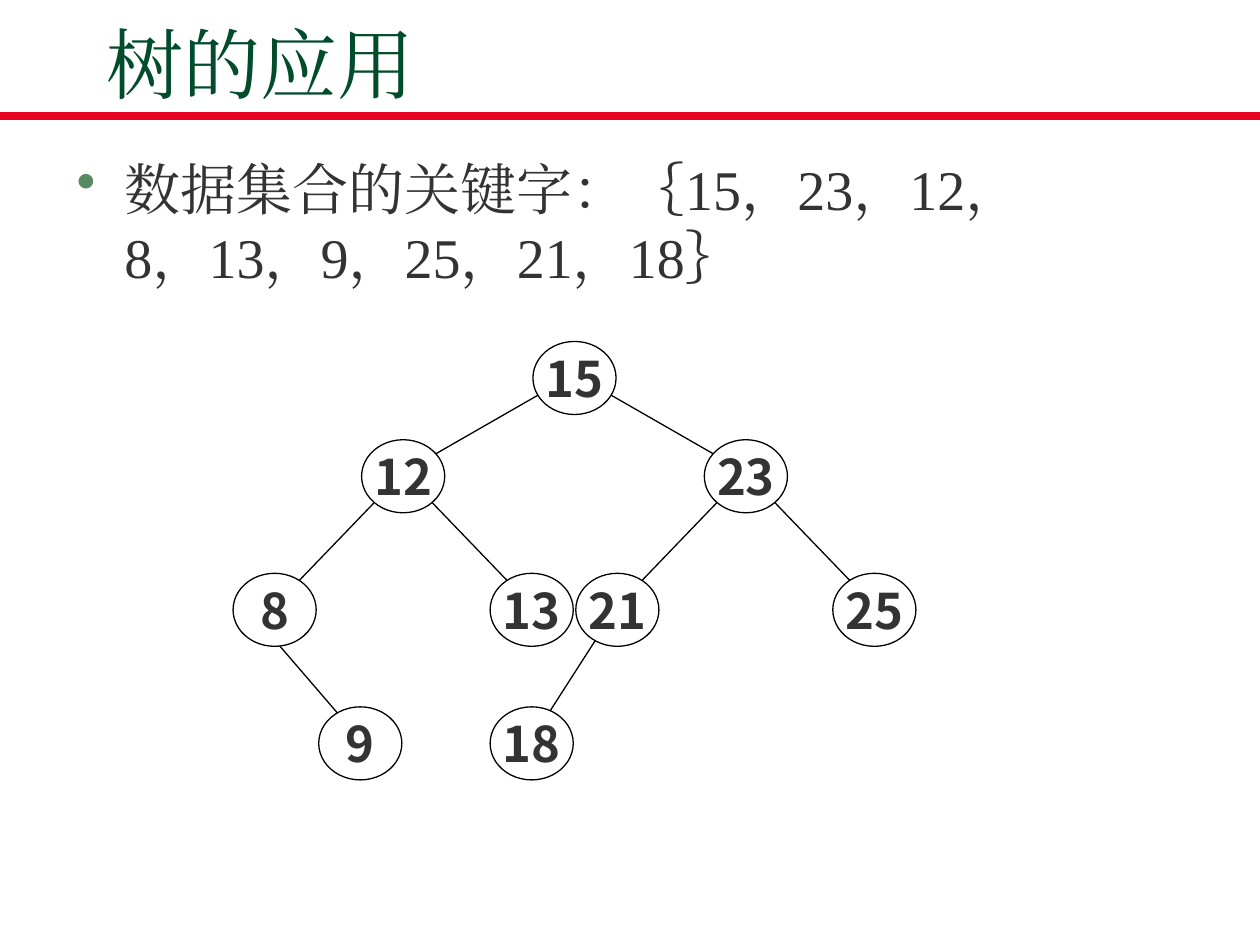
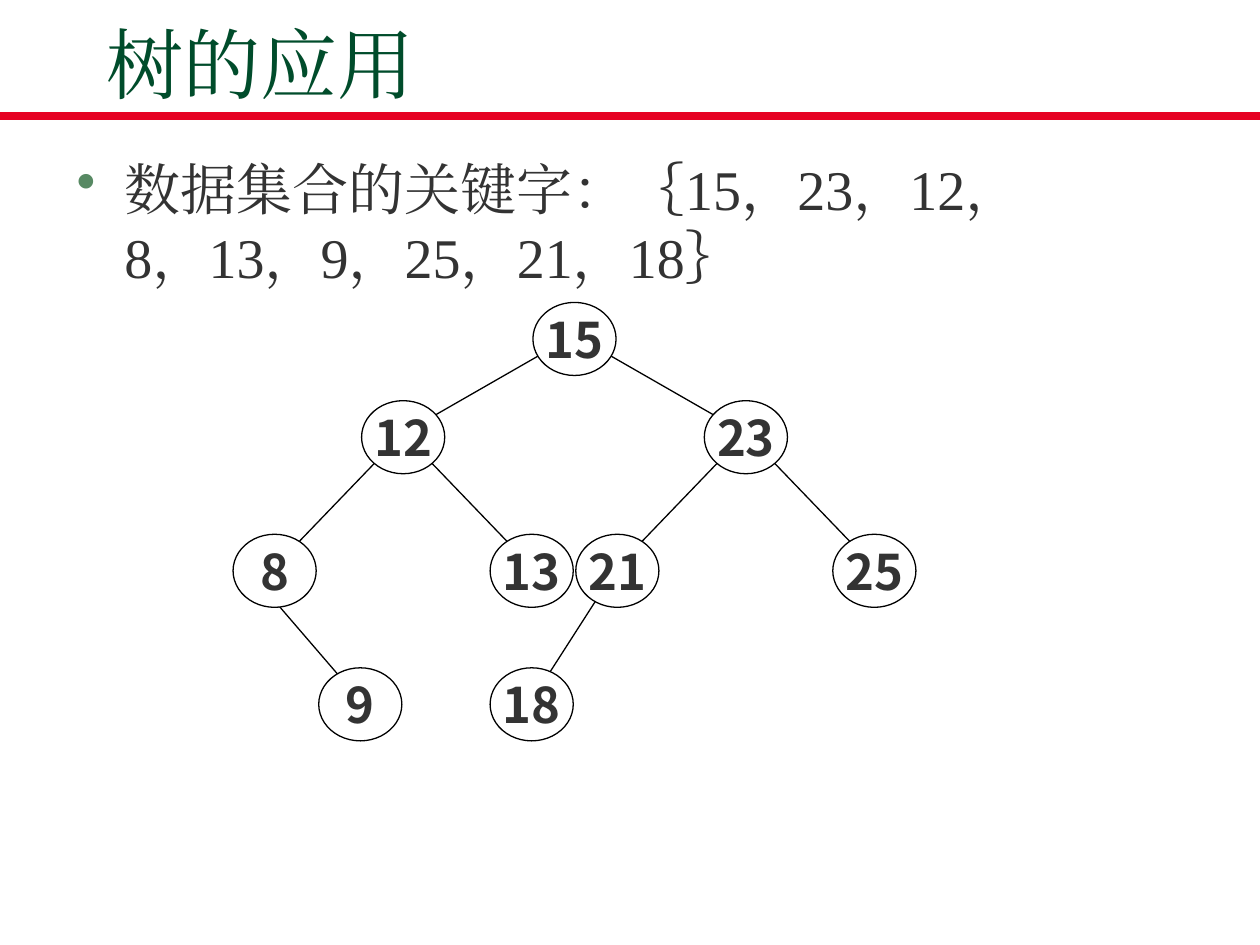
from lxml.etree import SubElement
from pptx import Presentation
from pptx.dml.color import RGBColor
from pptx.enum.shapes import MSO_CONNECTOR as Connector, MSO_SHAPE as Preset
from pptx.enum.text import MSO_ANCHOR as Anchor, PP_ALIGN as Align
from pptx.oxml.ns import qn
from pptx.util import Inches, Pt

COLORS = {
    "title": "004C2B", "rule": "E60223", "bullet": "578963",
    "text": "333333", "line": "000000", "node": "FFFFFF",
}
SERIF, SANS = "Times New Roman", "Noto Sans CJK SC"
WIDTH, HEIGHT = 10, 7.5
FIRST_COLUMN, COLUMN = 2.18, 0.34
ROWS = [0, 0.78, 1.84, 2.9]
NODE_WIDTH, NODE_HEIGHT = 0.66, 0.58
EDGE_LIFT = 0.03
TITLE = "树的应用"
KEYS = "数据集合的关键字：｛15，23，12，8，13，9，25，21，18｝"
TREE = {
    "15": (7, 0), "12": (3, 1), "23": (11, 1), "8": (0, 2), "13": (6, 2),
    "21": (8, 2), "25": (14, 2), "9": (2, 3), "18": (6, 3),
}
EDGES = [
    ("15", "12", 0), ("15", "23", 0), ("12", "8", 0), ("12", "13", 0),
    ("23", "21", 0), ("23", "25", 0), ("8", "9", 0.27), ("21", "18", 0),
]


class TreeDeck:
    """Draws titled slides with key lists and binary trees in one style."""

    def __init__(self):
        self.presentation = Presentation()
        self.presentation.slide_width = Inches(WIDTH)
        self.presentation.slide_height = Inches(HEIGHT)
        self.slide = None

    def color(self, name):
        return RGBColor.from_string(COLORS[name])

    def add_text(self, paragraph, text, size, font, color="text", bold=False):
        run = paragraph.add_run()
        run.text = text
        run.font.size, run.font.name, run.font.bold = Pt(size), font, bold
        run.font.color.rgb = self.color(color)
        east_asian = SubElement(run._r.get_or_add_rPr(), qn("a:ea"))
        east_asian.set("typeface", font)

    def line(self, start, end, color="line", weight=0.75):
        connector = self.slide.shapes.add_connector(
            Connector.STRAIGHT, *map(Inches, start + end))
        connector.line.color.rgb = self.color(color)
        connector.line.width = Pt(weight)
        SubElement(connector._element.spPr, qn("a:effectLst"))

    def text_box(self, left, top, width, height, anchor):
        box = self.slide.shapes.add_textbox(
            *map(Inches, (left, top, width, height)))
        frame = box.text_frame
        frame.word_wrap, frame.vertical_anchor = True, anchor
        return frame.paragraphs[0]

    def add_slide(self, title):
        layout = self.presentation.slide_layouts[6]
        self.slide = self.presentation.slides.add_slide(layout)
        self.line((0, 0.92), (WIDTH, 0.92), "rule", 4.5)
        paragraph = self.text_box(0.75, 0.26, 8.5, 0.65, Anchor.BOTTOM)
        self.add_text(paragraph, title, 44, SERIF, "title")

    def bullet(self, text):
        paragraph = self.text_box(0.51, 1.18, 8.24, 0.44, Anchor.TOP)
        properties = paragraph._p.get_or_add_pPr()
        properties.set("marL", str(Inches(0.38)))
        properties.set("indent", str(-Inches(0.38)))
        tint = SubElement(properties, qn("a:buClr"))
        SubElement(tint, qn("a:srgbClr")).set("val", COLORS["bullet"])
        SubElement(properties, qn("a:buChar")).set("char", "•")
        self.add_text(paragraph, text, 32, SERIF)

    def node(self, key, x, y):
        ellipse = self.slide.shapes.add_shape(
            Preset.OVAL, Inches(x - NODE_WIDTH / 2),
            Inches(y - NODE_HEIGHT / 2), Inches(NODE_WIDTH),
            Inches(NODE_HEIGHT))
        ellipse.shadow.inherit = False
        ellipse.fill.solid()
        ellipse.fill.fore_color.rgb = self.color("node")
        ellipse.line.color.rgb = self.color("line")
        ellipse.line.width = Pt(0.75)
        frame = ellipse.text_frame
        frame.margin_left = frame.margin_right = 0
        frame.margin_top = frame.margin_bottom = 0
        frame.word_wrap, frame.vertical_anchor = False, Anchor.MIDDLE
        paragraph = frame.paragraphs[0]
        paragraph.alignment = Align.CENTER
        self.add_text(paragraph, key, 28, SANS, bold=True)

    def tree(self, top):
        centers = {
            key: (FIRST_COLUMN + column * COLUMN, top + ROWS[row])
            for key, (column, row) in TREE.items()
        }
        for parent, child, drop in EDGES:
            (x1, y1), (x2, y2) = centers[parent], centers[child]
            self.line((x1, y1 - EDGE_LIFT + drop), (x2, y2 - EDGE_LIFT))
        for key, center in centers.items():
            self.node(key, *center)


def main():
    deck = TreeDeck()
    for tree_top in (3.0, 2.69):
        deck.add_slide(TITLE)
        deck.bullet(KEYS)
        deck.tree(tree_top)
    deck.presentation.save("out.pptx")


if __name__ == "__main__":
    main()
